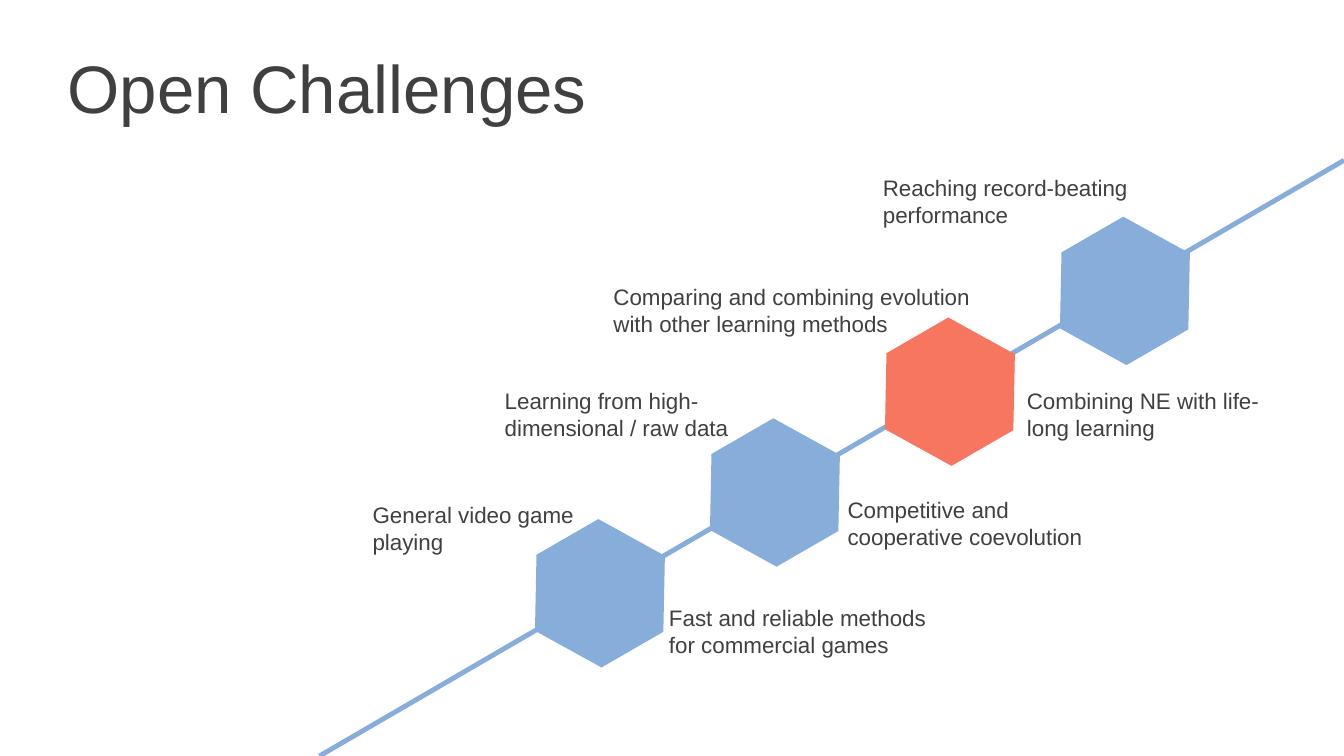
from collections import namedtuple

from lxml import etree
from pptx import Presentation
from pptx import util as u
from pptx.dml.color import RGBColor
from pptx.enum import shapes, text
from pptx.oxml import ns

Box = namedtuple("Box", "left top width height")

BLUE = RGBColor(0x87, 0xAD, 0xDB)
CORAL = RGBColor(0xF7, 0x76, 0x60)
GREY = RGBColor(0x40, 0x40, 0x40)

TITLE_BOX = Box(1.45, 1.04, 16.38, 2.31)
STAIRCASE_BOX = Box(8.05, 4.04, 25.82, 15.01)
FIRST_STEP = Box(5.18, 9.27, 3.78, 3.28)
STEP_RIGHT, STEP_UP = 4.41, 2.54
STEP_COLOURS = [BLUE, BLUE, CORAL, BLUE]
LABEL_HEIGHT = 1.63
LABELS = [
    (1.09, 8.46, 5.97, "General video game playing"),
    (4.42, 5.59, 7.57, "Learning from high-dimensional / raw data"),
    (7.16, 2.97, 10.41, "Comparing and combining evolution with other learning methods"),
    (13.95, 0.23, 6.91, "Reaching record-beating performance"),
    (17.58, 5.59, 7.32, "Combining NE with life-long learning"),
    (13.06, 8.33, 7.32, "Competitive and cooperative coevolution"),
    (8.56, 11.05, 7.32, "Fast and reliable methods for commercial games"),
]


def lengths(box):
    return [u.Cm(value) for value in box]


def inside(outer, left, top, width, height):
    return Box(outer.left + left, outer.top + top, width, height)


def write(shape, words, size=16, colour=GREY, font="Arial", anchor=text.MSO_ANCHOR.TOP):
    frame = shape.text_frame
    frame.word_wrap = True
    frame.auto_size = text.MSO_AUTO_SIZE.NONE
    frame.vertical_anchor = anchor
    para = frame.paragraphs[0]
    para.alignment = text.PP_ALIGN.LEFT
    span = para.add_run()
    span.text = words
    span.font.size = u.Pt(size)
    span.font.name = font
    span.font.color.rgb = colour


def add_title(page, box):
    title = page.shapes.title
    title.left, title.top, title.width, title.height = lengths(box)
    write(title, "Open Challenges", size=48, anchor=text.MSO_ANCHOR.MIDDLE)


def add_rising_line(page, box):
    left, top, width, height = lengths(box)
    line = page.shapes.add_connector(
        shapes.MSO_CONNECTOR.STRAIGHT, left, top + height, left + width, top
    )
    line.line.color.rgb = BLUE
    line.line.width = u.Pt(3.5)
    etree.SubElement(line._element.spPr, ns.qn("a:effectLst"))


def add_step(page, box, colour):
    step = page.shapes.add_shape(shapes.MSO_SHAPE.HEXAGON, *lengths(box))
    step.adjustments[0] = 0.302
    step.rotation = 330
    step.shadow.inherit = False
    step.fill.solid()
    step.fill.fore_color.rgb = colour
    step.line.fill.background()


def add_staircase(page, box):
    add_rising_line(page, box)
    for index, colour in enumerate(STEP_COLOURS):
        left = FIRST_STEP.left + index * STEP_RIGHT
        top = FIRST_STEP.top - index * STEP_UP
        step_box = inside(box, left, top, FIRST_STEP.width, FIRST_STEP.height)
        add_step(page, step_box, colour)
    for left, top, width, words in LABELS:
        label_box = inside(box, left, top, width, LABEL_HEIGHT)
        write(page.shapes.add_textbox(*lengths(label_box)), words)


def main():
    deck = Presentation()
    deck.slide_width = u.Cm(33.87)
    deck.slide_height = u.Cm(19.05)
    page = deck.slides.add_slide(deck.slide_layouts.get_by_name("Title Only"))
    add_title(page, TITLE_BOX)
    add_staircase(page, STAIRCASE_BOX)
    deck.save("out.pptx")


if __name__ == "__main__":
    main()
